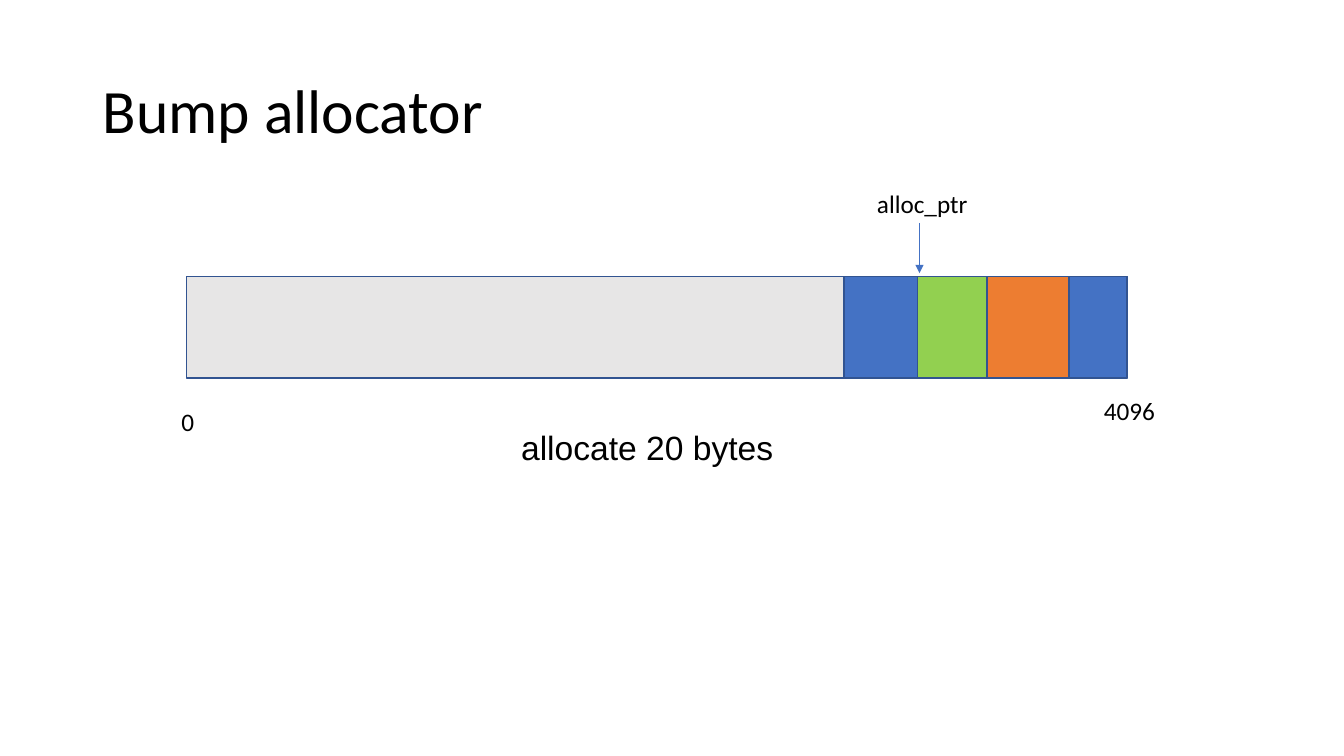
import pptx
import pptx.dml.color
import pptx.enum.dml
import pptx.enum.shapes
import pptx.enum.text
import pptx.oxml
import pptx.oxml.ns
import pptx.util
from lxml import etree

Inches = pptx.util.Inches
COLORS = {
    "text": "000000",
    "free": "E7E6E6",
    "blue": "4472C4",
    "orange": "ED7D31",
    "green": "92D050",
    "outline": "325491",
}
BAR_LEFT, BAR_TOP, BAR_WIDTH, BAR_HEIGHT = 1.85, 2.74, 9.33, 1.01


def color(name):
    return pptx.dml.color.RGBColor.from_string(COLORS[name])


def add_text(frame, text, size, font_name):
    run = frame.paragraphs[0].add_run()
    run.text = text
    run.font.size = pptx.util.Pt(size)
    run.font.name = font_name
    run.font.color.rgb = color("text")


presentation = pptx.Presentation()
presentation.slide_width = Inches(13.33)
presentation.slide_height = Inches(7.5)
slide = presentation.slides.add_slide(presentation.slide_layouts[5])

title = slide.shapes.title
title.left, title.top = Inches(0.92), Inches(0.4)
title.width, title.height = Inches(11.5), Inches(1.45)
title.text_frame.auto_size = pptx.enum.text.MSO_AUTO_SIZE.NONE
title.text_frame.vertical_anchor = pptx.enum.text.MSO_ANCHOR.MIDDLE
add_text(title.text_frame, "Bump allocator", 44, "Calibri")
title.text_frame.paragraphs[0].alignment = pptx.enum.text.PP_ALIGN.LEFT
title.text_frame.paragraphs[0].line_spacing = 0.9

# Memory blocks: start and end in percent of the bar
blocks = [
    ("free", 0, 100),
    ("blue", 93.8, 100),
    ("orange", 85.1, 93.8),
    ("blue", 69.9, 85.1),
    ("green", 77.7, 85.1),
]
for fill, start, end in blocks:
    block = slide.shapes.add_shape(
        pptx.enum.shapes.MSO_SHAPE.RECTANGLE,
        Inches(BAR_LEFT + BAR_WIDTH * start / 100),
        Inches(BAR_TOP),
        Inches(BAR_WIDTH * (end - start) / 100),
        Inches(BAR_HEIGHT),
    )
    block.shadow.inherit = False
    block.fill.solid()
    block.fill.fore_color.rgb = color(fill)
    block.line.color.rgb = color("outline")
    block.line.width = pptx.util.Pt(1)

pointer = slide.shapes.add_connector(
    pptx.enum.shapes.MSO_CONNECTOR.STRAIGHT,
    Inches(9.12), Inches(2.21), Inches(9.12), Inches(2.71),
)
pointer.line.color.rgb = color("blue")
pointer.line.width = pptx.util.Pt(0.5)
arrowhead = etree.SubElement(pointer.line._get_or_add_ln(), pptx.oxml.ns.qn("a:tailEnd"))
arrowhead.set("type", "triangle")
etree.SubElement(pointer._element.spPr, pptx.oxml.ns.qn("a:effectLst"))

labels = [
    ("0", 1.7, 3.98, 1, 0.4, 18, "Calibri"),
    ("4096", 10.85, 3.87, 1, 0.4, 18, "Calibri"),
    ("alloc_ptr", 8.6, 1.82, 2.63, 0.4, 18, "Calibri"),
    ("allocate 20 bytes", 5.07, 4.19, 4.71, 0.5, 24, "Arial"),
]
for text, left, top, width, height, size, font_name in labels:
    label = slide.shapes.add_textbox(Inches(left), Inches(top), Inches(width), Inches(height))
    label.text_frame.word_wrap = True
    label.text_frame.auto_size = pptx.enum.text.MSO_AUTO_SIZE.SHAPE_TO_FIT_TEXT
    add_text(label.text_frame, text, size, font_name)

presentation.save("out.pptx")
